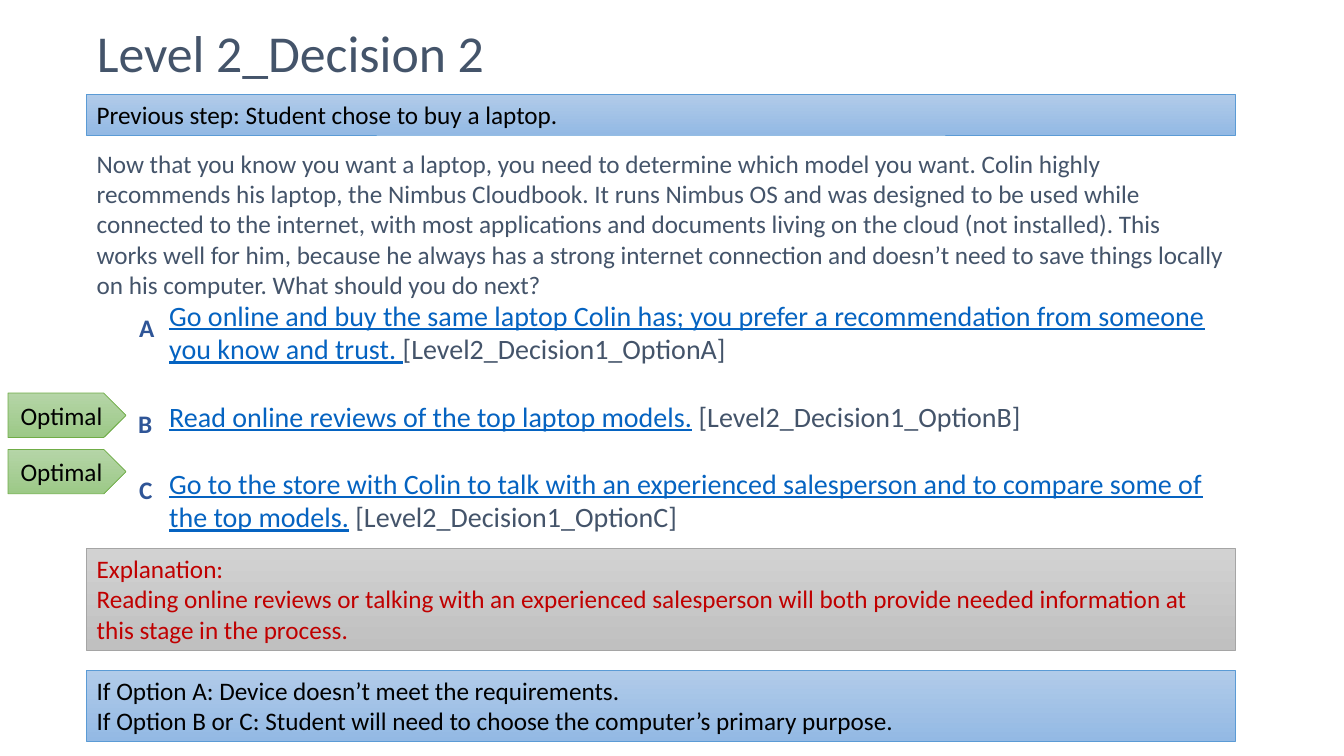
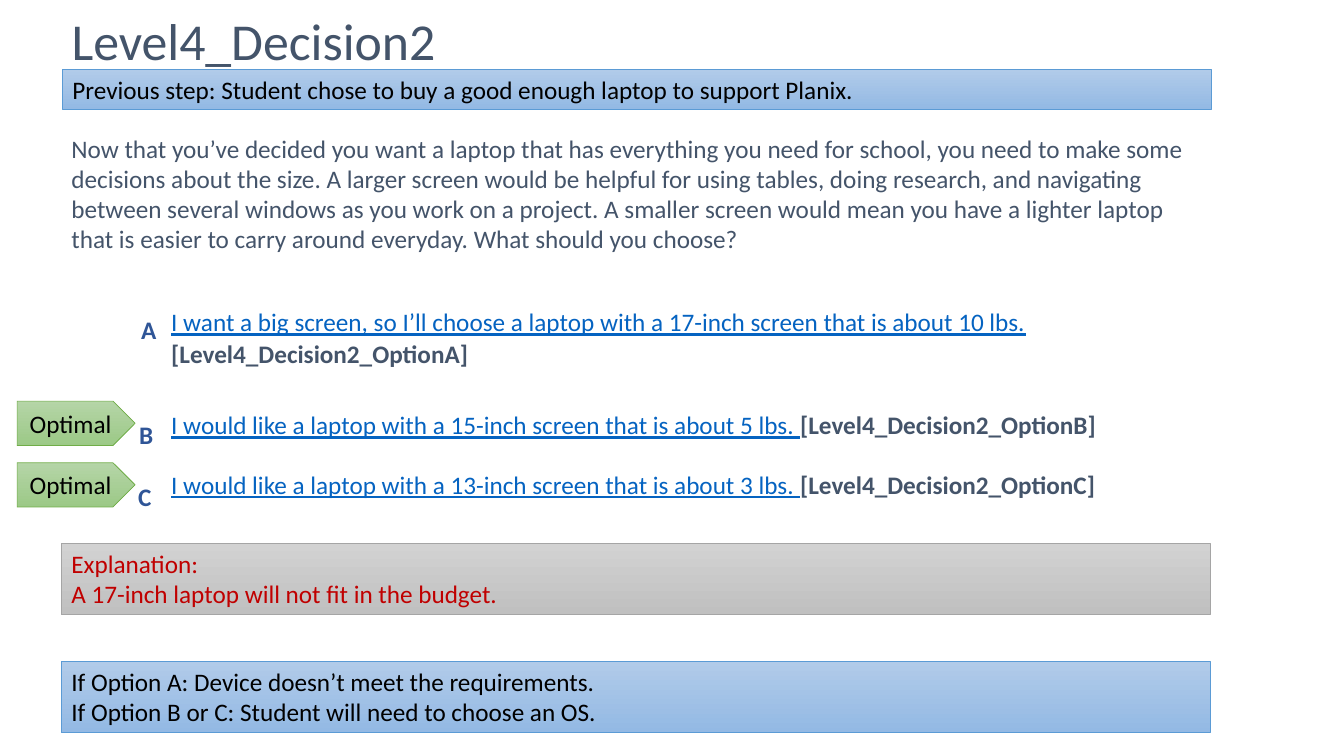
from dataclasses import dataclass
from typing import Any, NamedTuple

from pptx import Presentation
from pptx.dml.color import RGBColor
from pptx.enum.shapes import MSO_SHAPE as Preset
from pptx.enum.text import MSO_ANCHOR as Anchor, MSO_AUTO_SIZE as AutoSize, PP_ALIGN as Align
from pptx.util import Emu, Pt

EMU_PER_PX = 9144  # 100 px to the inch
TITLE_ONLY = 5

SLATE = RGBColor(0x44, 0x54, 0x6A)
BLACK = RGBColor(0x00, 0x00, 0x00)
RED = RGBColor(0xC0, 0x00, 0x00)
LINK_BLUE = RGBColor(0x05, 0x63, 0xC1)
LETTER_BLUE = RGBColor(0x2F, 0x55, 0x97)


def px(length: int) -> Emu:
    return Emu(length * EMU_PER_PX)


class Box(NamedTuple):
    left: int
    top: int
    width: int
    height: int

    def emu(self) -> list[Emu]:
        return [px(length) for length in self]


class Look(NamedTuple):
    light: RGBColor
    dark: RGBColor
    outline: RGBColor
    text: RGBColor


BLUE_LOOK = Look(RGBColor(0xB1, 0xCB, 0xE9), RGBColor(0x93, 0xB9, 0xE4),
                 RGBColor(0x5B, 0x9B, 0xD5), BLACK)
GRAY_LOOK = Look(RGBColor(0xD2, 0xD2, 0xD2), RGBColor(0xC0, 0xC0, 0xC0),
                 RGBColor(0xA5, 0xA5, 0xA5), RED)
GREEN_LOOK = Look(RGBColor(0xB5, 0xD5, 0xA7), RGBColor(0x9C, 0xC9, 0x87),
                  RGBColor(0x70, 0xAD, 0x47), BLACK)

BASE_FONT = {"name": "Calibri", "size": Pt(18), "bold": False}
TITLE_FONT = {"size": Pt(37), "color": SLATE}
LETTER_FONT = {"bold": True, "color": LETTER_BLUE}
LINK_FONT = {"underline": True, "color": LINK_BLUE}
TITLE_FRAME = {"margin_top": px(3), "margin_bottom": px(3), "auto_size": AutoSize.NONE}
LETTER_FRAME = {"margin_left": px(13), "margin_right": px(13),
                "margin_top": px(7), "margin_bottom": px(7)}


class Run(NamedTuple):
    text: str
    font: dict[str, Any]


class Line(NamedTuple):
    runs: list[Run]
    spacing: dict[str, Any] = {}


@dataclass
class Option:
    letter: str
    letter_box: Box
    link: str
    tag: str
    spacing: dict[str, Any]


@dataclass
class Decision:
    title: str
    title_box: Box
    title_anchor: Anchor
    previous: str
    previous_box: Box
    scenario: str
    scenario_box: Box
    options: list[Option]
    options_box: Box
    option_size: int
    tag_bold: bool
    optimal_left: int
    optimal_tops: list[int]
    explanation: list[str]
    explanation_box: Box
    outcomes: list[str]
    outcomes_box: Box


def apply(target: Any, formats: dict[str, Any]) -> None:
    for name, value in formats.items():
        if name == "color":
            target.color.rgb = value
        else:
            setattr(target, name, value)


def write(frame: Any, lines: list[Line], **frame_formats: Any) -> None:
    apply(frame, {"word_wrap": True, "vertical_anchor": Anchor.TOP} | frame_formats)
    for index, line in enumerate(lines):
        paragraph = frame.add_paragraph() if index else frame.paragraphs[0]
        apply(paragraph, {"alignment": Align.LEFT} | line.spacing)
        for text, font in line.runs:
            run = paragraph.add_run()
            run.text = text
            apply(run.font, BASE_FONT | font)


def add_text(slide: Any, box: Box, lines: list[Line], **frame_formats: Any) -> None:
    write(slide.shapes.add_textbox(*box.emu()).text_frame, lines, **frame_formats)


def add_panel(slide: Any, box: Box, texts: list[str], look: Look,
              preset: Preset = Preset.RECTANGLE, align: Align = Align.LEFT,
              anchor: Anchor = Anchor.TOP) -> None:
    panel = slide.shapes.add_shape(preset, *box.emu())
    panel.shadow.inherit = False
    panel.fill.gradient()
    panel.fill.gradient_angle = 270
    for stop, color in zip(panel.fill.gradient_stops, (look.light, look.dark)):
        stop.color.rgb = color
    apply(panel.line, {"color": look.outline, "width": Pt(0.5)})
    lines = [Line([Run(text, {"color": look.text})], {"alignment": align}) for text in texts]
    write(panel.text_frame, lines, vertical_anchor=anchor)


def add_options(slide: Any, decision: Decision) -> None:
    size = {"size": Pt(decision.option_size)}
    tag_font = size | {"color": SLATE, "bold": decision.tag_bold}
    lines = [Line([Run(option.link, size | LINK_FONT), Run(option.tag, tag_font)],
                  option.spacing) for option in decision.options]
    add_text(slide, decision.options_box, lines)
    for top in decision.optimal_tops:
        add_panel(slide, Box(decision.optimal_left, top, 117, 44), ["Optimal"], GREEN_LOOK,
                  Preset.PENTAGON, Align.CENTER, Anchor.MIDDLE)
    for option in decision.options:
        letter = Line([Run(option.letter, LETTER_FONT)], {"line_spacing": 2.0})
        add_text(slide, option.letter_box, [letter], **LETTER_FRAME)


def add_decision(deck: Any, decision: Decision) -> None:
    slide = deck.slides.add_slide(deck.slide_layouts[TITLE_ONLY])
    title = slide.shapes.title
    apply(title, dict(zip(Box._fields, decision.title_box.emu())))
    write(title.text_frame, [Line([Run(decision.title, TITLE_FONT)], {"line_spacing": 0.9})],
          vertical_anchor=decision.title_anchor, **TITLE_FRAME)
    add_options(slide, decision)
    add_panel(slide, decision.outcomes_box, decision.outcomes, BLUE_LOOK)
    add_panel(slide, decision.explanation_box, decision.explanation, GRAY_LOOK)
    add_panel(slide, decision.previous_box, [decision.previous], BLUE_LOOK)
    add_text(slide, decision.scenario_box, [Line([Run(decision.scenario, {"color": SLATE})])])


DECISIONS = [
    Decision(
        title="Level 2_Decision 2",
        title_box=Box(86, 25, 1139, 125),
        title_anchor=Anchor.TOP,
        previous="Previous step: Student chose to buy a laptop.",
        previous_box=Box(86, 94, 1139, 40),
        scenario="Now that you know you want a laptop, you need to determine which model you want. "
                 "Colin highly recommends his laptop, the Nimbus Cloudbook. It runs Nimbus OS and "
                 "was designed to be used while connected to the internet, with most applications "
                 "and documents living on the cloud (not installed). This works well for him, "
                 "because he always has a strong internet connection and doesn’t need to save "
                 "things locally on his computer. What should you do next?",
        scenario_box=Box(86, 142, 1139, 192),
        options=[
            Option("A", Box(125, 273, 68, 58),
                   "Go online and buy the same laptop Colin has; you prefer a recommendation "
                   "from someone you know and trust. ",
                   "[Level2_Decision1_OptionA]", {}),
            Option("B", Box(124, 368, 70, 44),
                   "Read online reviews of the top laptop models.",
                   " [Level2_Decision1_OptionB]", {"space_before": Pt(24)}),
            Option("C", Box(125, 434, 70, 44),
                   "Go to the store with Colin to talk with an experienced salesperson and to "
                   "compare some of the top models.",
                   " [Level2_Decision1_OptionC]", {"space_before": Pt(24)}),
        ],
        options_box=Box(158, 291, 1077, 286),
        option_size=20,
        tag_bold=False,
        optimal_left=8,
        optimal_tops=[390, 446],
        explanation=["Explanation:",
                     "Reading online reviews or talking with an experienced salesperson will both "
                     "provide needed information at this stage in the process."],
        explanation_box=Box(86, 544, 1139, 101),
        outcomes=["If Option A: Device doesn’t meet the requirements.",
                  "If Option B or C: Student will need to choose the computer’s primary purpose."],
        outcomes_box=Box(86, 665, 1139, 71),
    ),
    Decision(
        title="Level4_Decision2",
        title_box=Box(61, -19, 1139, 125),
        title_anchor=Anchor.MIDDLE,
        previous="Previous step: Student chose to buy a good enough laptop to support Planix.",
        previous_box=Box(62, 69, 1139, 40),
        scenario="Now that you’ve decided you want a laptop that has everything you need for "
                 "school, you need to make some decisions about the size. A larger screen would "
                 "be helpful for using tables, doing research, and navigating between several "
                 "windows as you work on a project. A smaller screen would mean you have a "
                 "lighter laptop that is easier to carry around everyday. What should you choose?",
        scenario_box=Box(61, 127, 1139, 162),
        options=[
            Option("A", Box(127, 275, 68, 58),
                   "I want a big screen, so I’ll choose a laptop with a 17-inch screen that is "
                   "about 10 lbs.",
                   " [Level4_Decision2_OptionA]", {"line_spacing": 1.07, "space_after": Pt(8)}),
            Option("B", Box(125, 379, 70, 44),
                   "I would like a laptop with a 15-inch screen that is about 5 lbs. ",
                   "[Level4_Decision2_OptionB]", {"space_before": Pt(21)}),
            Option("C", Box(124, 441, 70, 44),
                   "I would like a laptop with a 13-inch screen that is about 3 lbs. ",
                   "[Level4_Decision2_OptionC]", {"space_before": Pt(21)}),
        ],
        options_box=Box(160, 297, 1082, 302),
        option_size=18,
        tag_bold=True,
        optimal_left=17,
        optimal_tops=[398, 459],
        explanation=["Explanation:", "A 17-inch laptop will not fit in the budget."],
        explanation_box=Box(61, 539, 1139, 71),
        outcomes=["If Option A: Device doesn’t meet the requirements.",
                  "If Option B or C: Student will need to choose an OS."],
        outcomes_box=Box(61, 656, 1139, 71),
    ),
]


def main() -> None:
    deck = Presentation()
    apply(deck, {"slide_width": px(1333), "slide_height": px(750)})
    for decision in DECISIONS:
        add_decision(deck, decision)
    deck.save("out.pptx")


if __name__ == "__main__":
    main()
